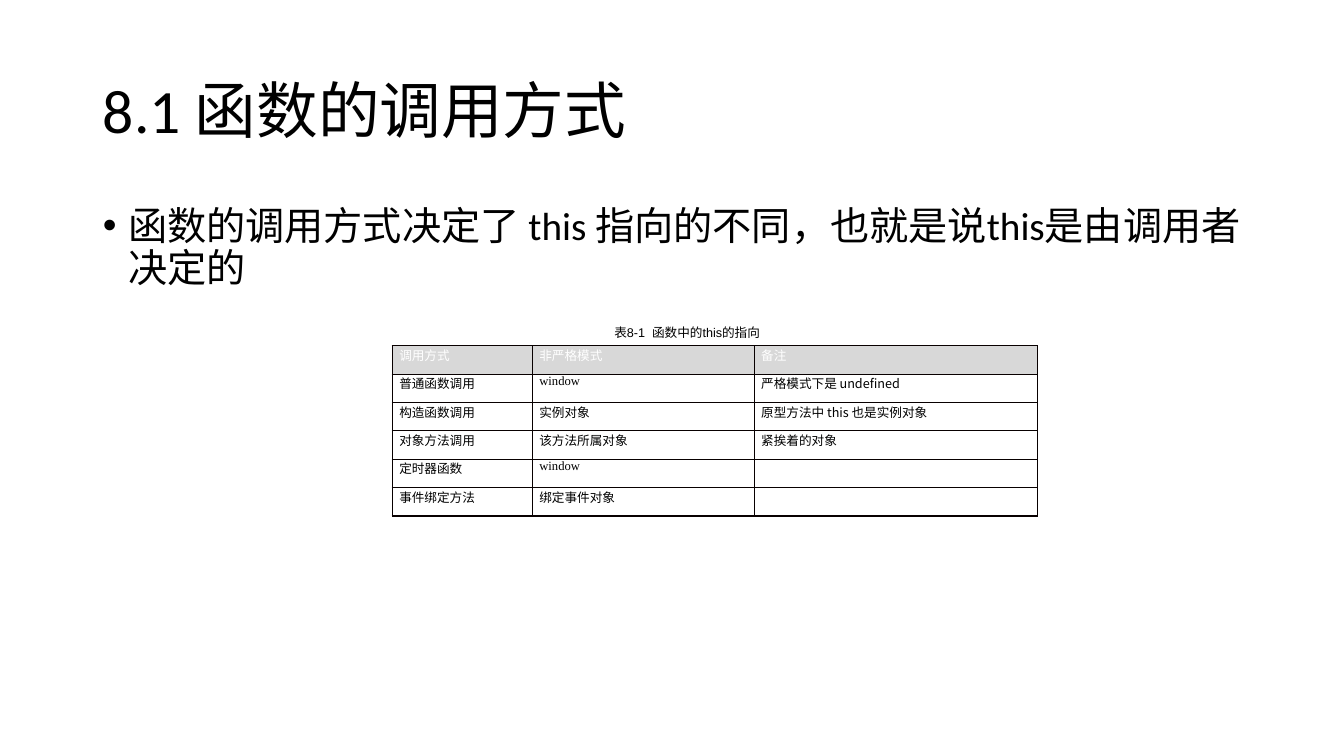
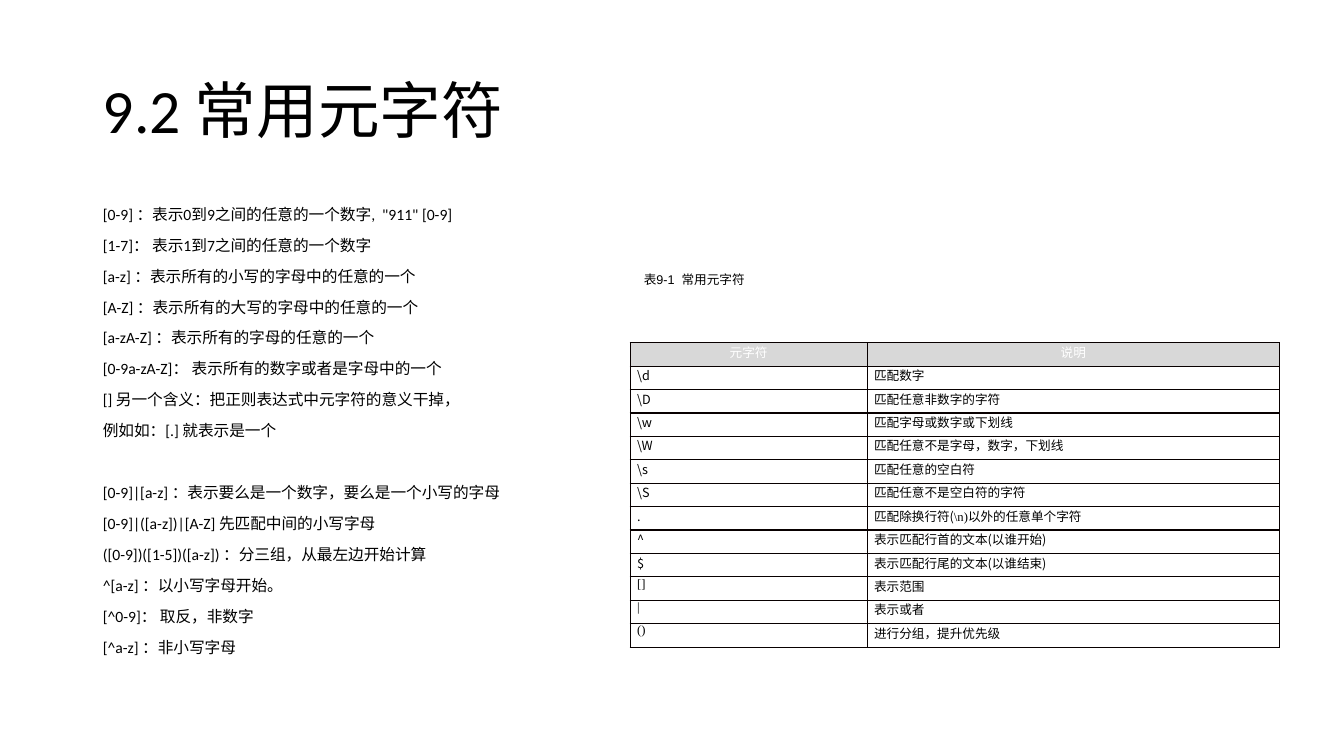
from lxml import etree
from pptx import Presentation
from pptx.dml.color import RGBColor
from pptx.enum.text import MSO_ANCHOR, MSO_AUTO_SIZE, PP_ALIGN
from pptx.oxml.ns import qn
from pptx.util import Inches, Pt

LEFT, CENTER = PP_ALIGN.LEFT, PP_ALIGN.CENTER
TOP, MIDDLE = MSO_ANCHOR.TOP, MSO_ANCHOR.MIDDLE
NO_FIT = MSO_AUTO_SIZE.NONE

BLACK = RGBColor(0x00, 0x00, 0x00)
WHITE = RGBColor(0xFF, 0xFF, 0xFF)
HEADER_GREY = RGBColor(0xD8, 0xD8, 0xD8)
BORDER = RGBColor(0x08, 0x00, 0x00)

TEXT_FONT, CAPTION_FONT = "Calibri", "Arial"
CELL_FONT, SERIF = "Noto Sans CJK SC", "Times New Roman"
TITLE_BOX = (0.92, 0.4, 11.5, 1.45)
BODY_BOX = (0.92, 2, 11.5, 4.76)
SMALL = 9
SPACE_BEFORE, GROUP_SPACE = 10, 32

# Content: body is a list of paragraph groups; a cell is text or (text, font) runs
SLIDES = [
    {
        "title": "8.1 函数的调用方式",
        "body": [["函数的调用方式决定了 this 指向的不同，也就是说this是由调用者决定的"]],
        "body_size": 28,
        "bullet": "•",
        "caption": "表8-1  函数中的this的指向",
        "caption_box": (3.89, 3.17, 5.56, 0.25),
        "caption_indent": 0.29,
        "table_box": (3.89, 3.43, 6.4, 1.69),
        "columns": [1.39, 2.2, 2.81],
        "header_align": LEFT,
        "rows": [
            ["调用方式", "非严格模式", "备注"],
            ["普通函数调用", [("window", SERIF)], "严格模式下是 undefined"],
            ["构造函数调用", "实例对象", "原型方法中 this 也是实例对象"],
            ["对象方法调用", "该方法所属对象", "紧挨着的对象"],
            ["定时器函数", [("window", SERIF)], ""],
            ["事件绑定方法", "绑定事件对象", ""],
        ],
    },
    {
        "title": "9.2 常用元字符",
        "body": [
            [
                "[0-9] ：表示0到9之间的任意的一个数字,  \"911\" [0-9]",
                "[1-7]： 表示1到7之间的任意的一个数字",
                "[a-z] ：表示所有的小写的字母中的任意的一个",
                "[A-Z] ：表示所有的大写的字母中的任意的一个",
                "[a-zA-Z] ：表示所有的字母的任意的一个",
                "[0-9a-zA-Z]： 表示所有的数字或者是字母中的一个",
                "[] 另一个含义：把正则表达式中元字符的意义干掉，",
                "例如如：[.] 就表示是一个",
            ],
            [
                "[0-9]|[a-z] ：表示要么是一个数字，要么是一个小写的字母",
                "[0-9]|([a-z])|[A-Z] 先匹配中间的小写字母",
                "([0-9])([1-5])([a-z]) ：分三组，从最左边开始计算",
                "^[a-z] ：以小写字母开始。",
                "[^0-9]： 取反，非数字",
                "[^a-z] ：非小写字母",
            ],
        ],
        "body_size": 11.2,
        "bullet": None,
        "caption": "表9-1  常用元字符",
        "caption_box": (3.89, 2.65, 5.99, 0.25),
        "caption_indent": 0,
        "table_box": (6.25, 3.4, 6.44, 3.02),
        "columns": [2.35, 4.09],
        "header_align": CENTER,
        "rows": [
            ["元字符", "说明"],
            ["\\d", "匹配数字"],
            ["\\D", "匹配任意非数字的字符"],
            ["\\w", "匹配字母或数字或下划线"],
            ["\\W", "匹配任意不是字母，数字，下划线"],
            ["\\s", "匹配任意的空白符"],
            ["\\S", "匹配任意不是空白符的字符"],
            [".", [("匹配除换行符(", CELL_FONT), ("\\n)", SERIF),
                   ("以外的任意单个字符", CELL_FONT)]],
            ["^", "表示匹配行首的文本(以谁开始)"],
            ["$", "表示匹配行尾的文本(以谁结束)"],
            [[("[]", SERIF)], "表示范围"],
            [[("|", SERIF)], "表示或者"],
            [[("()", SERIF)], "进行分组，提升优先级"],
        ],
    },
]


def inches(box):
    return [Inches(v) for v in box]


def set_attrs(obj, **values):
    for name, value in values.items():
        setattr(obj, name, value)


def add_run(p, text, font, size, color=BLACK):
    r = p.add_run()
    r.text = text
    set_attrs(r.font, name=font, size=Pt(size), bold=False)
    r.font.color.rgb = color
    ea = etree.SubElement(r.font._element, qn("a:ea"))
    ea.set("typeface", font)


def set_indent(p, left, first):
    pPr = p._p.get_or_add_pPr()
    pPr.set("marL", str(Inches(left)))
    pPr.set("indent", str(Inches(first)))
    return pPr


def place(sp, box, anchor):
    set_attrs(sp, **dict(zip(("left", "top", "width", "height"), inches(box))))
    set_attrs(sp.text_frame, word_wrap=True, auto_size=NO_FIT, vertical_anchor=anchor)
    return sp.text_frame


def add_title(s, text):
    p = place(s.shapes.title, TITLE_BOX, MIDDLE).paragraphs[0]
    set_attrs(p, alignment=LEFT, line_spacing=0.9)
    add_run(p, text, TEXT_FONT, 44)


def add_body(s, groups, size, bullet):
    tf = place(s.placeholders[1], BODY_BOX, TOP)
    p = tf.paragraphs[0]
    for g, group in enumerate(groups):
        for i, text in enumerate(group):
            if g or i:
                p = tf.add_paragraph()
            if bullet:
                pPr = set_indent(p, 0.25, -0.25)
                etree.SubElement(pPr, qn("a:buChar")).set("char", bullet)
            else:
                etree.SubElement(set_indent(p, 0, 0), qn("a:buNone"))
            gap = GROUP_SPACE if g and not i else SPACE_BEFORE
            set_attrs(p, alignment=LEFT, line_spacing=0.9, space_before=Pt(gap))
            add_run(p, text, TEXT_FONT, size)


def add_caption(s, text, box, indent):
    tf = s.shapes.add_textbox(*inches(box)).text_frame
    tf.word_wrap = True
    p = tf.paragraphs[0]
    p.alignment = CENTER
    set_indent(p, 0, indent)
    add_run(p, text, CAPTION_FONT, SMALL)


def add_borders(cell):
    tcPr = cell._tc.get_or_add_tcPr()
    for side in ("lnL", "lnR", "lnT", "lnB"):
        ln = etree.SubElement(tcPr, qn("a:" + side))
        ln.set("w", str(Pt(1)))
        fill = etree.SubElement(ln, qn("a:solidFill"))
        etree.SubElement(fill, qn("a:srgbClr")).set("val", str(BORDER))


def fill_cell(cell, content, is_header, align):
    set_attrs(cell, margin_left=Inches(0.07), margin_right=Inches(0.07),
              margin_top=0, margin_bottom=0, vertical_anchor=TOP)
    add_borders(cell)
    if is_header:
        cell.fill.solid()
        cell.fill.fore_color.rgb = HEADER_GREY
    else:
        cell.fill.background()
    p = cell.text_frame.paragraphs[0]
    p.alignment = align
    if not content:
        # Keeps an empty cell from stretching its row
        etree.SubElement(p._p, qn("a:endParaRPr")).set("sz", str(SMALL * 100))
        return
    runs = [(content, CELL_FONT)] if isinstance(content, str) else content
    for text, font in runs:
        add_run(p, text, font, SMALL, WHITE if is_header else BLACK)


def add_grid(s, rows, box, columns, header_align):
    table = s.shapes.add_table(len(rows), len(columns), *inches(box)).table
    set_attrs(table, first_row=False, horz_banding=False)
    for column, width in zip(table.columns, columns):
        column.width = Inches(width)
    for i, row in enumerate(rows):
        for j, content in enumerate(row):
            fill_cell(table.cell(i, j), content, i == 0, LEFT if i else header_align)


def main():
    prs = Presentation()
    set_attrs(prs, slide_width=Inches(13.33), slide_height=Inches(7.5))
    for d in SLIDES:
        s = prs.slides.add_slide(prs.slide_layouts[1])
        add_title(s, d["title"])
        add_body(s, d["body"], d["body_size"], d["bullet"])
        add_caption(s, d["caption"], d["caption_box"], d["caption_indent"])
        add_grid(s, d["rows"], d["table_box"], d["columns"], d["header_align"])
    prs.save("out.pptx")


if __name__ == "__main__":
    main()
